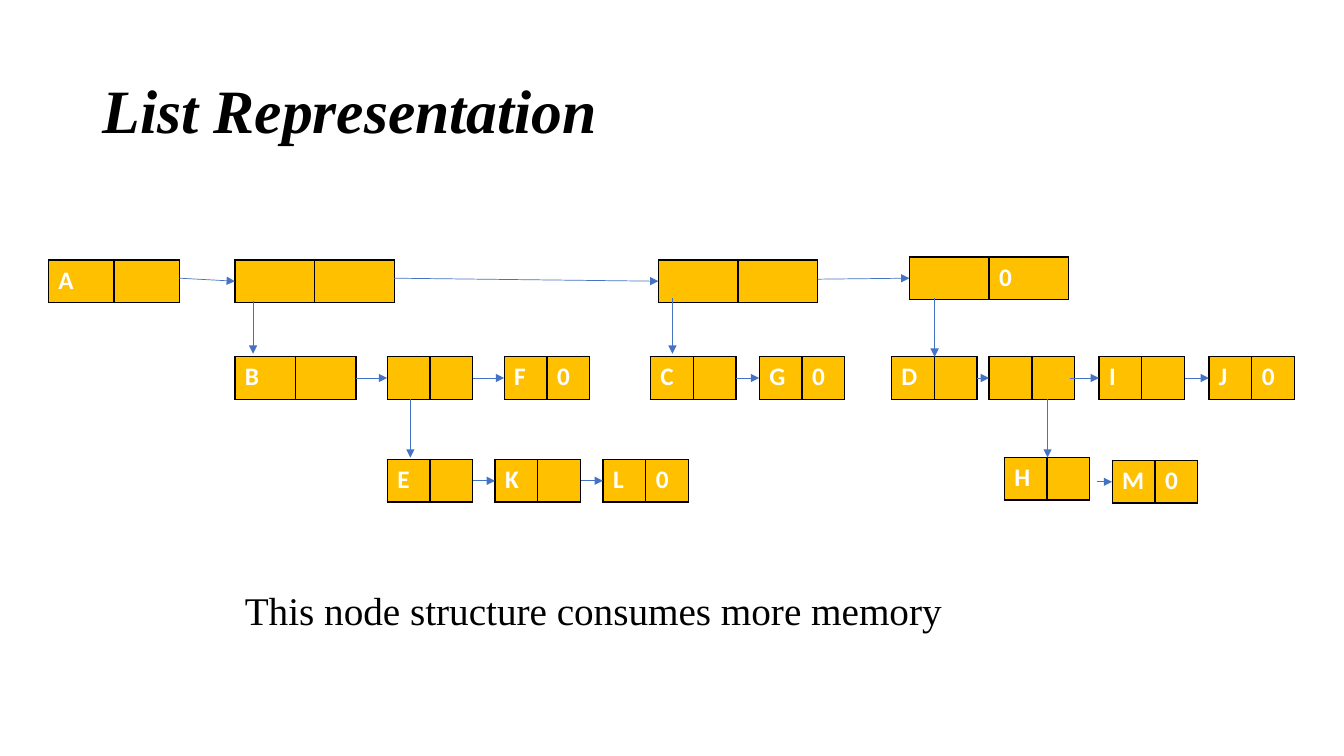
from dataclasses import dataclass
from itertools import pairwise

from lxml import etree
from pptx import Presentation
from pptx import util as u
from pptx.dml.color import RGBColor
from pptx.enum import shapes, text
from pptx.oxml import ns

SCALE = 9144
BLACK = RGBColor(0, 0, 0)
WHITE = RGBColor(255, 255, 255)
GOLD = RGBColor(0xFF, 0xC0, 0x00)
BLUE = RGBColor(0x44, 0x72, 0xC4)

HEADING = {"name": "Times New Roman", "size": u.Pt(44), "bold": True, "italic": True}
CAPTION = {"name": "Times New Roman", "size": u.Pt(28)}
CELL = {"name": "Calibri", "size": u.Pt(18), "bold": True}
NODE_HEIGHT = 42


@dataclass
class Node:
    """One list node: place in the diagram, two fields and where its link leaves."""
    left: int
    top: int
    data: str = ""
    link: str = ""
    width: int = 85
    exit_dx: int = 0
    exit_dy: int = 21


CHAINS = [
    [Node(0, 3, "A", width=130, exit_dy=18), Node(185, 3, width=158, exit_dy=18),
     Node(605, 3, width=158, exit_dy=19), Node(854, 0, link="0", width=158)],
    [Node(185, 99, "B", width=120), Node(336, 99), Node(452, 99, "F", "0")],
    [Node(336, 201, "E"), Node(443, 201, "K"), Node(550, 201, "L", "0")],
    [Node(597, 99, "C"), Node(705, 99, "G", "0")],
    [Node(836, 99, "D"), Node(933, 99, exit_dx=-5), Node(1042, 99, "I"),
     Node(1151, 99, "J", "0")],
    [Node(948, 199, "H", exit_dx=7, exit_dy=24), Node(1055, 202, "M", "0")],
]
CHILD_LINKS = [(203, 44, 96), (359, 141, 199), (619, 41, 96), (879, 41, 99), (991, 141, 199)]


def px(*lengths):
    """Turn px lengths into EMU."""
    return [u.Emu(length * SCALE) for length in lengths]


def style_run(paragraph, words, formats, color):
    """Add one run with the given format values."""
    run = paragraph.add_run()
    run.text = words
    for key, value in formats.items():
        setattr(run.font, key, value)
    run.font.color.rgb = color


def add_words(slide, box, words, formats, anchor, spacing=1.0):
    """Place one line of text in the given box."""
    frame = slide.shapes.add_textbox(*px(*box)).text_frame
    frame.word_wrap = True
    frame.vertical_anchor = anchor
    frame.paragraphs[0].line_spacing = spacing
    style_run(frame.paragraphs[0], words, formats, BLACK)


def style_cell(cell, words):
    """Give a node field its border, fill and value."""
    properties = cell._tc.get_or_add_tcPr()
    for side in ("lnL", "lnR", "lnT", "lnB"):
        border = etree.SubElement(properties, ns.qn(f"a:{side}"), w=str(u.Pt(1)))
        fill = etree.SubElement(border, ns.qn("a:solidFill"))
        etree.SubElement(fill, ns.qn("a:srgbClr"), val=str(BLACK))
    cell.fill.solid()
    cell.fill.fore_color.rgb = GOLD
    if words:
        style_run(cell.text_frame.paragraphs[0], words, CELL, WHITE)


def add_node(slide, left, top, node):
    """Draw one node as a table of two fields."""
    place = px(left + node.left, top + node.top, node.width, NODE_HEIGHT)
    table = slide.shapes.add_table(1, 2, *place).table
    table.first_row = False
    table.horz_banding = False
    for cell, words in zip(table.iter_cells(), (node.data, node.link)):
        style_cell(cell, words)


def add_arrow(slide, *ends):
    """Draw a thin arrow between two points."""
    arrow = slide.shapes.add_connector(shapes.MSO_CONNECTOR.STRAIGHT, *px(*ends))
    arrow.line.color.rgb = BLUE
    arrow.line.width = u.Pt(0.5)
    etree.SubElement(arrow.line._get_or_add_ln(), ns.qn("a:tailEnd"), type="triangle")
    etree.SubElement(arrow._element.spPr, ns.qn("a:effectLst"))


def add_diagram(slide, left, top):
    """Draw the chains of nodes, then the links along and between them."""
    for chain in CHAINS:
        for node in chain:
            add_node(slide, left, top, node)
    for chain in CHAINS:
        for source, target in pairwise(chain):
            add_arrow(slide, left + source.left + source.width + source.exit_dx,
                      top + source.top + source.exit_dy,
                      left + target.left, top + target.top + NODE_HEIGHT // 2)
    for x, start, end in CHILD_LINKS:
        add_arrow(slide, left + x, top + start, left + x, top + end)


def main():
    """Build the slide and save it."""
    deck = Presentation()
    deck.slide_width, deck.slide_height = px(1333, 750)
    slide = deck.slides.add_slide(deck.slide_layouts[6])
    add_words(slide, (92, 40, 1150, 145), "List Representation", HEADING,
              text.MSO_ANCHOR.MIDDLE, 0.9)
    add_diagram(slide, 48, 255)
    add_words(slide, (233, 577, 942, 57), "This node structure consumes more memory",
              CAPTION, text.MSO_ANCHOR.TOP)
    deck.save("out.pptx")


if __name__ == "__main__":
    main()
